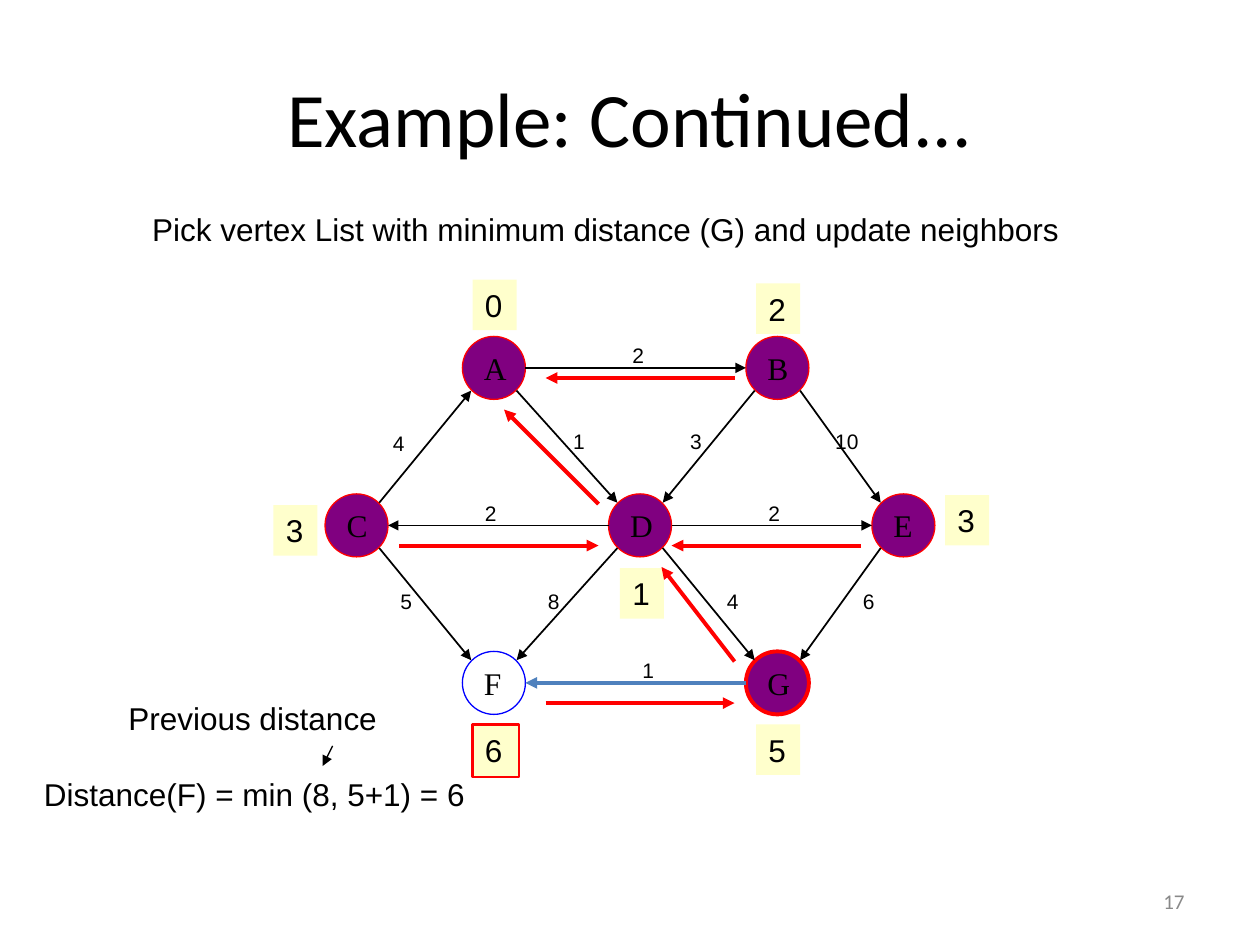
from lxml.etree import SubElement
from pptx import Presentation
from pptx.dml.color import RGBColor
from pptx.enum.shapes import MSO_CONNECTOR as Connector, MSO_SHAPE as Shape
from pptx.enum.text import MSO_ANCHOR as Anchor, PP_ALIGN as Align
from pptx.oxml.ns import qn
from pptx.util import Inches, Pt

BLACK, RED, BLUE, PURPLE, YELLOW = "000000", "FF0000", "0000FF", "800080", "FFFFCC"
STEEL, GRAY = "4F81BD", "898989"
RADIUS = 0.25
DIAGONAL = 0.18  # offset of a circle's 45-degree connection points

CENTERS = {
    "A": (3.92, 2.92), "B": (6.17, 2.92),
    "C": (2.83, 4.17), "D": (5.08, 4.17), "E": (7.17, 4.17),
    "F": (3.92, 5.42), "G": (6.17, 5.42),
}
# start, end, weight, left and top of the weight label
EDGES = [
    ("A", "B", "2", 4.92, 2.67), ("A", "D", "1", 4.45, 3.35),
    ("B", "D", "3", 5.38, 3.35), ("B", "E", "10", 6.53, 3.35),
    ("C", "A", "4", 3.02, 3.37), ("C", "F", "5", 3.08, 4.62),
    ("D", "C", "2", 3.75, 3.92), ("D", "E", "2", 6, 3.92),
    ("D", "F", "8", 4.25, 4.62), ("D", "G", "4", 5.67, 4.62),
    ("E", "G", "6", 6.75, 4.62), ("G", "F", "1", 5, 5.17),
]
# distance, left, top
DISTANCES = [
    ("0", 3.75, 2.22), ("2", 6, 2.25), ("3", 2.17, 4.01), ("3", 7.5, 3.93),
    ("1", 4.92, 4.51), ("6", 3.75, 5.75), ("5", 6, 5.75),
]
PREDECESSOR_ARROWS = [
    ((4.75, 4), (4, 3.25)), ((5.83, 3), (4.33, 3)),
    ((6.83, 4.33), (5.33, 4.33)), ((5.83, 5.25), (5.25, 4.5)),
    ((4.33, 5.58), (5.83, 5.58)), ((3.17, 4.33), (4.75, 4.33)),
]


def color(value):
    return RGBColor.from_string(value)


def write(shape, text, size=18, font="Arial", fill=BLACK, align=Align.LEFT,
          anchor=Anchor.TOP, wrap=False):
    frame = shape.text_frame
    frame.word_wrap = wrap
    frame.vertical_anchor = anchor
    paragraph = frame.paragraphs[0]
    paragraph.alignment = align
    run = paragraph.add_run()
    run.text = text
    run.font.size = Pt(size)
    run.font.name = font
    run.font.color.rgb = color(fill)


def add_text(slide, text, left, top, width, height, **text_format):
    box = slide.shapes.add_textbox(*map(Inches, (left, top, width, height)))
    write(box, text, **text_format)


def add_figure(slide, kind, left, top, width, height, fill=None, line=None, weight=0.75):
    shape = slide.shapes.add_shape(kind, *map(Inches, (left, top, width, height)))
    shape.shadow.inherit = False
    if fill:
        shape.fill.solid()
        shape.fill.fore_color.rgb = color(fill)
    else:
        shape.fill.background()
    if line:
        shape.line.color.rgb = color(line)
        shape.line.width = Pt(weight)
    else:
        shape.line.fill.background()
    return shape


def add_arrow(slide, start, end, line=BLACK, weight=1):
    arrow = slide.shapes.add_connector(Connector.STRAIGHT, *map(Inches, (*start, *end)))
    arrow.line.color.rgb = color(line)
    arrow.line.width = Pt(weight)
    SubElement(arrow.line._get_or_add_ln(), qn("a:tailEnd"), type="triangle")
    SubElement(arrow._element.spPr, qn("a:effectLst"))


def edge_point(vertex, other):
    """Point on the circle of vertex where its edge to other is attached."""
    (x, y), (other_x, other_y) = CENTERS[vertex], CENTERS[other]
    side = 1 if other_x > x else -1
    if y == other_y:
        return x + side * RADIUS, y
    return x + side * DIAGONAL, y + (DIAGONAL if other_y > y else -DIAGONAL)


def add_vertex(slide, name):
    x, y = CENTERS[name]
    visited = name != "F"
    circle = add_figure(slide, Shape.OVAL, x - RADIUS, y - RADIUS, 2 * RADIUS, 2 * RADIUS,
                        fill=PURPLE if visited else None,
                        line=RED if visited else BLUE,
                        weight=2.25 if name == "G" else 0.75)
    write(circle, name, font="Times New Roman", anchor=Anchor.MIDDLE)


def add_edge(slide, start, end, weight, left, top):
    style = {"line": STEEL, "weight": 2.25} if start == "G" else {}
    add_arrow(slide, edge_point(start, end), edge_point(end, start), **style)
    add_text(slide, weight, left, top, 0.2 + 0.1 * len(weight), 0.3,
             size=12, anchor=Anchor.MIDDLE)


def add_distance(slide, distance, left, top):
    if distance == "6":  # the distance just updated
        box = add_figure(slide, Shape.RECTANGLE, left, top, 0.37, 0.42, YELLOW, RED, 1.25)
    else:
        box = add_figure(slide, Shape.RECTANGLE, left, top, 0.35, 0.4, YELLOW)
    write(box, distance)


def main():
    presentation = Presentation()
    presentation.slide_width, presentation.slide_height = Inches(10), Inches(7.5)
    slide = presentation.slides.add_slide(presentation.slide_layouts[6])

    add_text(slide, "17", 7.17, 6.95, 2.33, 0.4, size=12, font="Calibri", fill=GRAY,
             align=Align.RIGHT, anchor=Anchor.MIDDLE, wrap=True)
    add_text(slide, "Example: Continued...", 0.5, 0.3, 9, 1.25, size=44, font="Calibri",
             align=Align.CENTER, anchor=Anchor.MIDDLE, wrap=True)
    for name in CENTERS:
        add_vertex(slide, name)
    for edge in EDGES:
        add_edge(slide, *edge)
    for distance in DISTANCES:
        add_distance(slide, *distance)
    for start, end in PREDECESSOR_ARROWS:
        add_arrow(slide, start, end, line=RED, weight=2.25)

    add_text(slide, "Distance(F) = min (8, 5+1) = 6", 0.25, 6.1, 3.92, 0.4, wrap=True)
    add_text(slide, "Previous distance", 0.92, 5.5, 2.25, 0.4, wrap=True)
    add_arrow(slide, (2.64, 5.92), (2.56, 6.08), weight=0.75)
    add_text(slide, "Pick vertex List with minimum distance (G) and update neighbors",
             1.11, 1.62, 7.44, 0.4)
    presentation.save("out.pptx")


if __name__ == "__main__":
    main()
